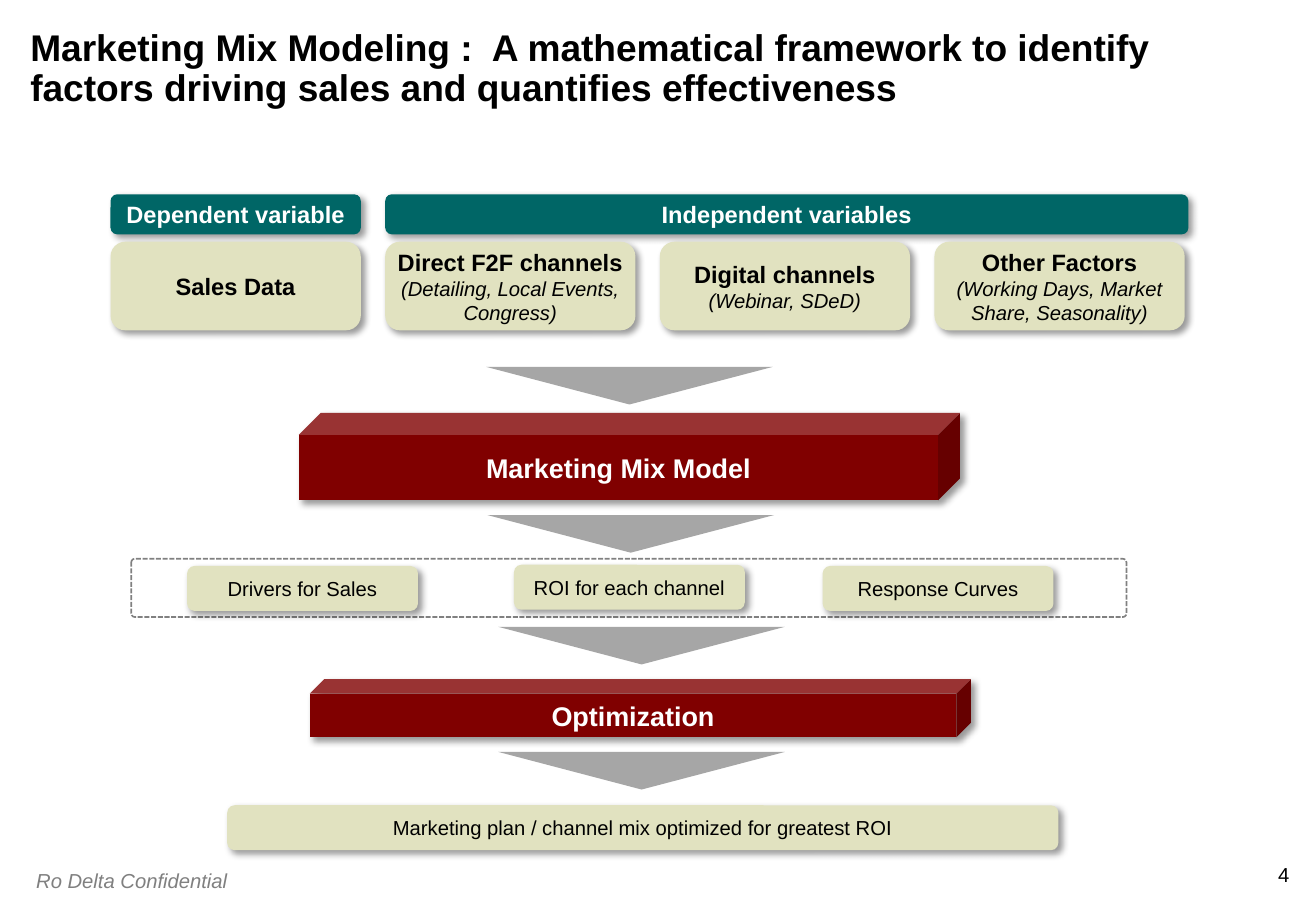
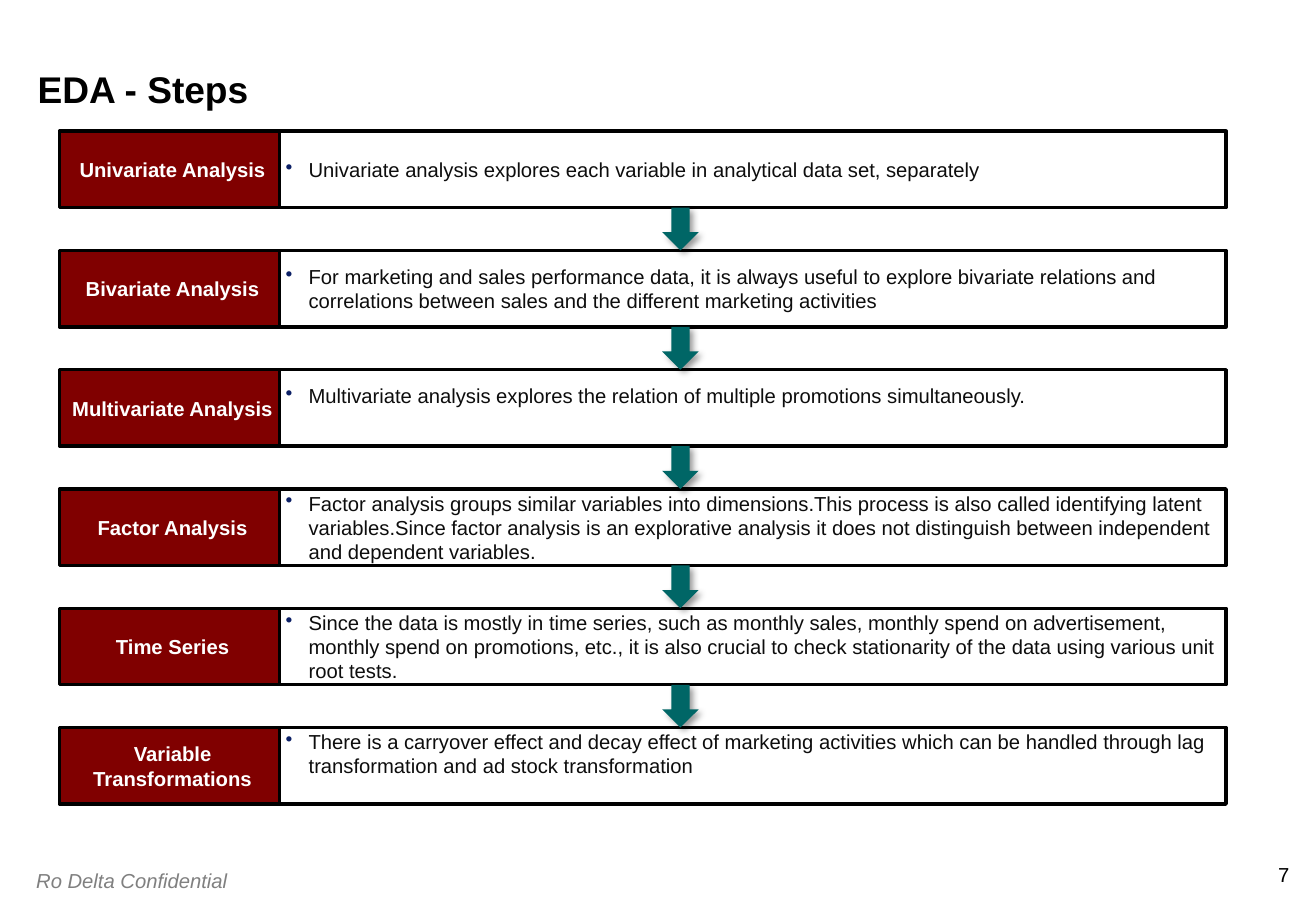
from dataclasses import dataclass
from typing import NamedTuple

from lxml.etree import SubElement
from pptx import Presentation
from pptx.dml.color import RGBColor
from pptx.enum.dml import MSO_LINE_DASH_STYLE as Dash
from pptx.enum.shapes import MSO_AUTO_SHAPE_TYPE as Kind
from pptx.enum.text import MSO_VERTICAL_ANCHOR as Anchor
from pptx.enum.text import PP_PARAGRAPH_ALIGNMENT as Align
from pptx.oxml.ns import qn
from pptx.util import Inches, Pt


@dataclass(frozen=True)
class Theme:
    font: str = "Arial"
    black: str = "000000"
    white: str = "FFFFFF"
    teal: str = "006666"
    sand: str = "E1E2C0"
    maroon: str = "800000"
    silver: str = "A6A6A6"
    grey: str = "808080"
    body: str = "0D0D0D"
    bullet: str = "0B1F65"
    title_size: int = 22
    stage_size: int = 16
    heading_size: int = 14
    text_size: int = 12


class Box(NamedTuple):
    left: float
    top: float
    width: float
    height: float

    def inner(self, dx, dy, width, height):
        return Box(self.left + dx, self.top + dy, width, height)

    def emu(self):
        return [Inches(length) for length in self]


THEME = Theme()
HEADING = {"size": THEME.heading_size, "bold": True}
DETAIL = {"size": THEME.text_size, "italic": True}
LABEL = {"size": THEME.text_size}
STAGE = {"size": THEME.stage_size, "bold": True, "color": THEME.white}
BANNER = HEADING | {"color": THEME.white}
STEP_NAME = {"size": THEME.text_size, "bold": True, "color": THEME.white}
STEP_TEXT = {"size": THEME.text_size, "color": THEME.body}
FOOTER = {"size": THEME.text_size, "italic": True, "color": THEME.grey}
TITLE = {"size": THEME.title_size, "bold": True}

NO_INSET = (0, 0, 0, 0)
SMALL_INSET = (0.05, 0.05, 0.05, 0.05)
STEP_INSET = (0.05, 0, 0, 0)


def rgb(value):
    return RGBColor.from_string(value)


def write(shape, lines, align=Align.CENTER, anchor=Anchor.MIDDLE, inset=SMALL_INSET):
    frame = shape.text_frame
    left, top, right, bottom = (Inches(length) for length in inset)
    settings = {"word_wrap": True, "vertical_anchor": anchor, "margin_left": left,
                "margin_top": top, "margin_right": right, "margin_bottom": bottom}
    for name, value in settings.items():
        setattr(frame, name, value)
    for index, (text, style) in enumerate(lines):
        paragraph = frame.add_paragraph() if index else frame.paragraphs[0]
        paragraph.alignment = align
        run = paragraph.add_run()
        run.text = text
        values = {"name": THEME.font, "color": THEME.black} | style
        run.font.color.rgb = rgb(values.pop("color"))
        values["size"] = Pt(values["size"])
        for name, value in values.items():
            setattr(run.font, name, value)
    return frame


def add_text(slide, box, text, style, **layout):
    return write(slide.shapes.add_textbox(*box.emu()), [(text, style)], **layout)


def add_block(slide, kind, box, fill=None, line=None, width=1, shadow=False):
    block = slide.shapes.add_shape(kind, *box.emu())
    block.shadow.inherit = False
    if fill:
        block.fill.solid()
        block.fill.fore_color.rgb = rgb(fill)
    else:
        block.fill.background()
    if line:
        block.line.color.rgb = rgb(line)
        block.line.width = Pt(width)
    else:
        block.line.fill.background()
    if shadow:
        effects = block.element.spPr.find(qn("a:effectLst"))
        outer = SubElement(effects, qn("a:outerShdw"), blurRad=str(Pt(4)), dist=str(Pt(3)),
                           dir="2700000", algn="tl", rotWithShape="0")
        color = SubElement(outer, qn("a:srgbClr"), val=THEME.black)
        SubElement(color, qn("a:alpha"), val="40000")
    return block


def add_card(slide, box, lines, fill=THEME.sand, kind=Kind.ROUNDED_RECTANGLE, inset=SMALL_INSET):
    write(add_block(slide, kind, box, fill, shadow=True), lines, inset=inset)


def add_bullet(paragraph):
    properties = paragraph._p.get_or_add_pPr()
    properties.set("marL", str(Inches(0.19)))
    properties.set("indent", str(Inches(-0.19)))
    color = SubElement(properties, qn("a:buClr"))
    SubElement(color, qn("a:srgbClr"), val=THEME.bullet)
    SubElement(properties, qn("a:buChar"), char="•")


def add_page(deck, number, title, title_box):
    slide = deck.slides.add_slide(deck.slide_layouts[6])
    add_text(slide, Box(10.4, 7.1, 0.21, 0.2), str(number), LABEL,
             align=Align.RIGHT, anchor=Anchor.TOP, inset=NO_INSET)
    add_text(slide, Box(0.2, 7.1, 2, 0.3), "Ro Delta Confidential", FOOTER,
             align=Align.LEFT, anchor=Anchor.TOP, inset=(0.1, 0.05, 0.1, 0.05))
    heading = add_text(slide, title_box, title, TITLE,
                       align=Align.LEFT, anchor=Anchor.BOTTOM, inset=NO_INSET)
    heading.paragraphs[0].line_spacing = 0.9
    return slide


def add_variables(slide, box, variables):
    column, gap, banner_height, card_top = 2.06, 0.2, 0.33, 0.39
    pitch = column + gap
    banners = [("Dependent variable", 0, column),
               ("Independent variables", pitch, box.width - pitch)]
    for text, offset, width in banners:
        add_card(slide, box.inner(offset, 0, width, banner_height), [(text, BANNER)], THEME.teal)
    for index, (name, detail) in enumerate(variables):
        lines = [(name, HEADING)] + ([(detail, DETAIL)] if detail else [])
        card = box.inner(index * pitch, card_top, column, box.height - card_top)
        add_card(slide, card, lines, inset=NO_INSET)


def add_outcomes(slide, box, outcomes):
    frame = add_block(slide, Kind.ROUNDED_RECTANGLE, box, line=THEME.grey)
    frame.adjustments[0] = 0.063
    frame.line.dash_style = Dash.SQUARE_DOT
    for text, dx, dy in outcomes:
        add_card(slide, box.inner(dx, dy, 1.9, 0.37), [(text, LABEL)])


def add_funnel(slide, left, top):
    funnel = add_block(slide, Kind.ISOSCELES_TRIANGLE, Box(left, top, 2.36, 0.31), THEME.silver)
    funnel.rotation = 180


def add_step(slide, box, name, text, raise_by):
    name_width = 1.81
    name_box = box.inner(0, 0, name_width, box.height)
    text_box = box.inner(name_width, 0, box.width - name_width, box.height)
    edge = {"line": THEME.black, "width": 2}
    write(add_block(slide, Kind.RECTANGLE, name_box, THEME.maroon, **edge),
          [(name, STEP_NAME)], inset=STEP_INSET)
    frame = write(add_block(slide, Kind.RECTANGLE, text_box, THEME.white, **edge),
                  [(text, STEP_TEXT)], align=Align.LEFT, inset=(0.05, 0, 0, raise_by))
    add_bullet(frame.paragraphs[0])


def add_steps(slide, box, steps):
    row_height = 0.63
    pitch = (box.height - row_height) / (len(steps) - 1)
    for index, step in enumerate(steps):
        add_step(slide, box.inner(0, index * pitch, box.width, row_height), *step)
    for index in range(len(steps) - 1):
        arrow = box.inner(4.96, index * pitch + row_height, 0.3, pitch - row_height)
        add_block(slide, Kind.DOWN_ARROW, arrow, THEME.teal, shadow=True)


def build_framework(deck):
    slide = add_page(deck, 4, "Marketing Mix Modeling :  A mathematical framework to identify "
                     "factors driving sales and quantifies effectiveness",
                     Box(0.25, -0.02, 9.83, 0.92))
    add_variables(slide, Box(0.91, 1.6, 8.87, 1.12), [
        ("Sales Data", None),
        ("Direct F2F channels", "(Detailing, Local Events, Congress)"),
        ("Digital channels", "(Webinar, SDeD)"),
        ("Other Factors", "(Working Days, Market Share, Seasonality)"),
    ])
    stages = [("Marketing Mix Model", Box(2.46, 3.4, 5.44, 0.72)),
              ("Optimization", Box(2.55, 5.59, 5.44, 0.48))]
    for text, box in stages:
        add_card(slide, box, [(text, STAGE)], THEME.maroon, Kind.CUBE)
    add_outcomes(slide, Box(1.08, 4.6, 8.19, 0.48), [
        ("Drivers for Sales", 0.46, 0.06),
        ("ROI for each channel", 3.15, 0.05),
        ("Response Curves", 5.69, 0.06),
    ])
    add_card(slide, Box(1.87, 6.63, 6.84, 0.37),
             [("Marketing plan / channel mix optimized for greatest ROI", LABEL)])
    for left, top in [(4, 3.02), (4.01, 4.24), (4.1, 5.16), (4.1, 6.19)]:
        add_funnel(slide, left, top)


def build_eda(deck):
    slide = add_page(deck, 7, "EDA - Steps", Box(0.31, 0, 9.83, 0.92))
    add_steps(slide, Box(0.49, 1.08, 9.6, 5.54), [
        ("Univariate Analysis",
         "Univariate analysis explores each variable in analytical data set, separately", 0),
        ("Bivariate Analysis",
         "For marketing and sales performance data, it is always useful to explore bivariate "
         "relations and correlations between sales and the different marketing activities", 0),
        ("Multivariate Analysis",
         "Multivariate analysis explores the relation of multiple promotions simultaneously.", 0.2),
        ("Factor Analysis",
         "Factor analysis groups similar variables into dimensions.This process is also called "
         "identifying latent variables.Since factor analysis is an explorative analysis it does "
         "not distinguish between independent and dependent variables.", 0),
        ("Time Series",
         "Since the data is mostly in time series, such as monthly sales, monthly spend on "
         "advertisement, monthly spend on promotions, etc., it is also crucial to check "
         "stationarity of the data using various unit root tests.", 0),
        ("Variable Transformations",
         "There is a carryover effect and decay effect of marketing activities which can be "
         "handled through lag transformation and ad stock transformation", 0.2),
    ])


def main():
    deck = Presentation()
    deck.slide_width, deck.slide_height = Inches(10.83), Inches(7.5)
    build_framework(deck)
    build_eda(deck)
    deck.save("out.pptx")


if __name__ == "__main__":
    main()
